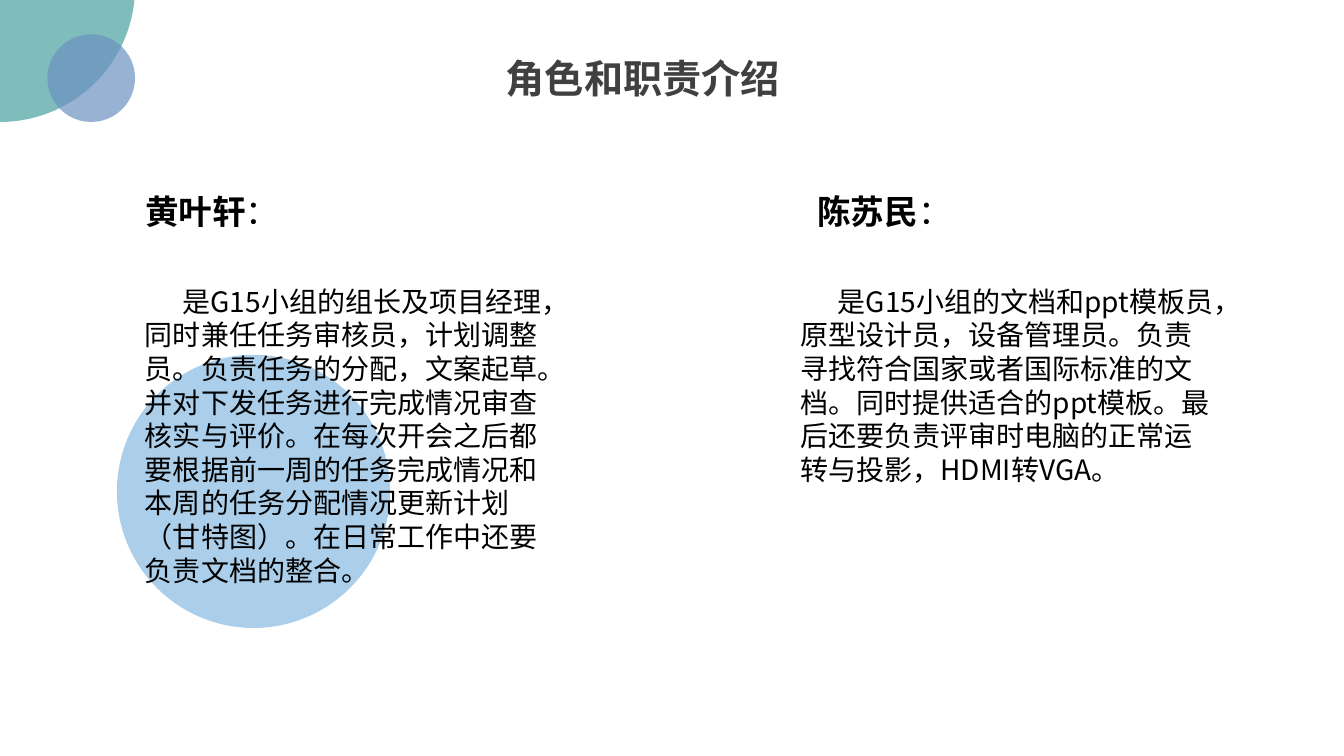
from dataclasses import dataclass

from lxml import etree
from pptx import Presentation
from pptx.dml.color import RGBColor
from pptx.enum.lang import MSO_LANGUAGE_ID
from pptx.enum.shapes import MSO_SHAPE
from pptx.enum.text import MSO_AUTO_SIZE
from pptx.oxml.ns import qn
from pptx.util import Pt

OVAL = MSO_SHAPE.OVAL
FIT_SHAPE = MSO_AUTO_SIZE.SHAPE_TO_FIT_TEXT
CHINESE = MSO_LANGUAGE_ID.SIMPLIFIED_CHINESE


@dataclass(frozen=True)
class Theme:
    font: str = "Noto Sans CJK SC"
    blue: str = "0070C0"
    teal: str = "48A2A0"
    slate: str = "6C92C0"
    title: str = "404040"
    text: str = "000000"
    title_size: int = 28
    name_size: int = 24
    body_size: int = 20


@dataclass(frozen=True)
class Circle:
    left: float
    top: float
    diameter: float
    color: str
    opacity: int


@dataclass(frozen=True)
class Member:
    name: str
    duties: str
    name_left: float
    duties_left: float
    duties_height: float


THEME = Theme()

CIRCLES = [
    Circle(83.52, 253.44, 195.12, THEME.blue, 33),
    Circle(-96.48, -105.84, 192.96, THEME.teal, 70),
    Circle(33.84, 24.48, 62.64, THEME.slate, 70),
]

MEMBERS = [
    Member(
        "黄叶轩",
        "是G15小组的组长及项目经理，同时兼任任务审核员，计划调整员。"
        "负责任务的分配，文案起草。并对下发任务进行完成情况审查核实与评价。"
        "在每次开会之后都要根据前一周的任务完成情况和本周的任务分配情况"
        "更新计划（甘特图）。在日常工作中还要负责文档的整合。",
        96.48, 96.48, 225.36,
    ),
    Member(
        "陈苏民",
        "是G15小组的文档和ppt模板员，原型设计员，设备管理员。"
        "负责寻找符合国家或者国际标准的文档。同时提供适合的ppt模板。"
        "最后还要负责评审时电脑的正常运转与投影，HDMI转VGA。",
        576.72, 564.48, 152.64,
    ),
]


def add_circle(slide, circle: Circle) -> None:
    sp = slide.shapes.add_shape(
        OVAL, Pt(circle.left), Pt(circle.top), Pt(circle.diameter), Pt(circle.diameter)
    )
    sp.shadow.inherit = False
    sp.line.fill.background()
    sp.fill.solid()
    sp.fill.fore_color.rgb = RGBColor.from_string(circle.color)
    color = sp.element.spPr.find(qn("a:solidFill")).find(qn("a:srgbClr"))
    etree.SubElement(color, qn("a:alpha")).set("val", str(circle.opacity * 1000))


def add_text(slide, text: str, left: float, top: float, width: float, height: float, *,
             size: int, color: str = THEME.text, bold: bool = False, tail: str = "",
             wrap: bool = True, indent: float = 0) -> None:
    sp = slide.shapes.add_textbox(Pt(left), Pt(top), Pt(width), Pt(height))
    tf = sp.text_frame
    tf.word_wrap = wrap
    tf.auto_size = FIT_SHAPE
    p = tf.paragraphs[0]
    if indent:
        p._p.get_or_add_pPr().set("indent", str(Pt(indent)))
    for content, weight in ((text, bold), (tail, False)):
        if not content:
            continue
        r = p.add_run()
        r.text = content
        r.font.size = Pt(size)
        r.font.bold = weight
        r.font.name = THEME.font
        r.font.language_id = CHINESE
        r.font.color.rgb = RGBColor.from_string(color)
        etree.SubElement(r.font._element, qn("a:ea")).set("typeface", THEME.font)


def add_member(slide, member: Member) -> None:
    add_text(slide, member.name, member.name_left, 132.48, 126, 36,
             size=THEME.name_size, bold=True, tail="：")
    add_text(slide, member.duties, member.duties_left, 199.44, 309.6,
             member.duties_height, size=THEME.body_size, indent=26.8)


def main() -> None:
    prs = Presentation()
    prs.slide_width, prs.slide_height = Pt(960), Pt(540)
    slide = prs.slides.add_slide(prs.slide_layouts[6])
    for circle in CIRCLES:
        add_circle(slide, circle)
    add_text(slide, "角色和职责介绍", 354.24, 35.28, 210.96, 41.04,
             size=THEME.title_size, color=THEME.title, bold=True, wrap=False)
    for member in MEMBERS:
        add_member(slide, member)
    prs.save("out.pptx")


if __name__ == "__main__":
    main()
